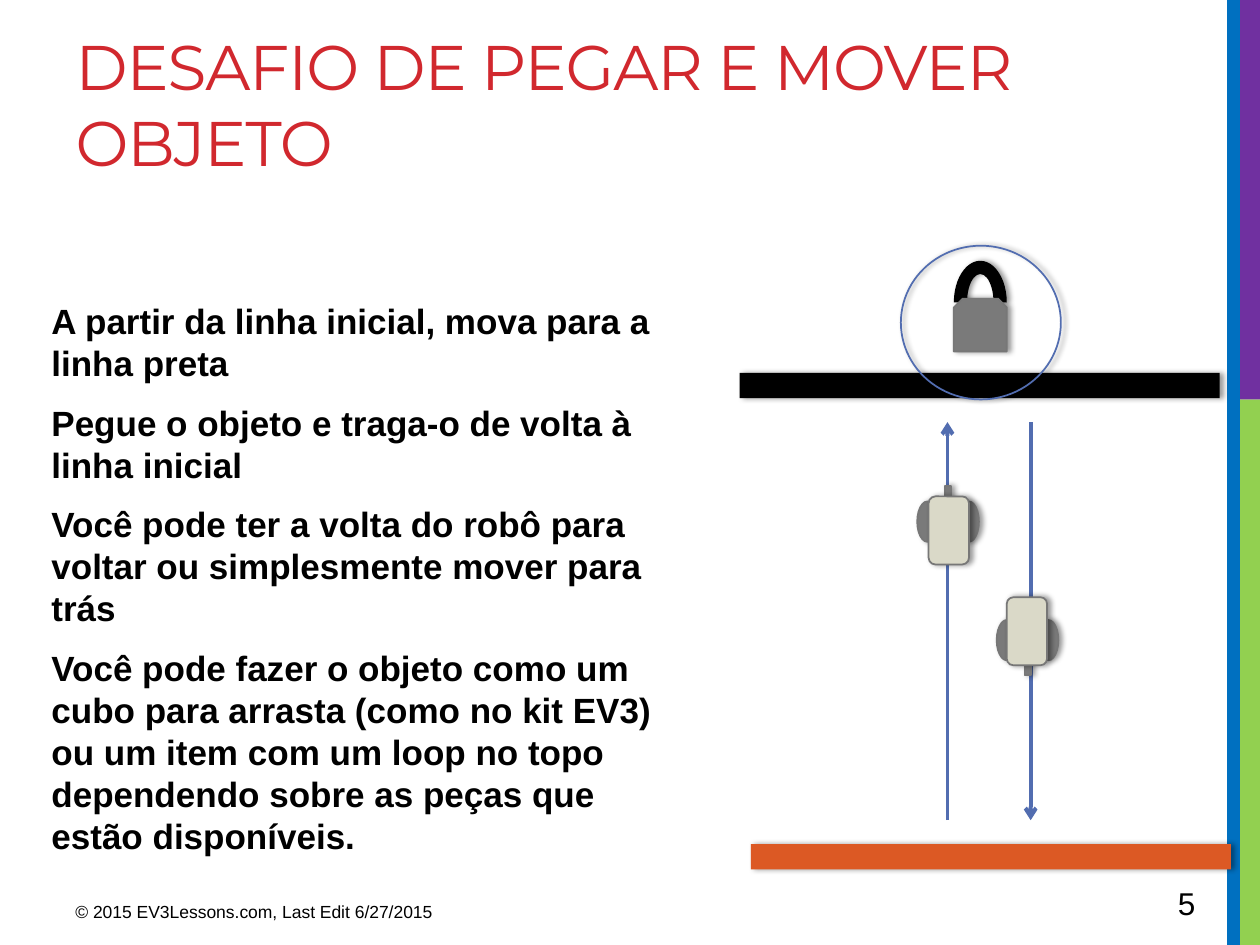
import pptx
import pptx.util
import pptx.dml.color
import pptx.enum.shapes
import pptx.enum.text
import pptx.oxml
import pptx.oxml.ns
import lxml.etree

Inches = pptx.util.Inches
Pt = pptx.util.Pt
SHAPE = pptx.enum.shapes.MSO_SHAPE
ANCHOR = pptx.enum.text.MSO_ANCHOR
qn = pptx.oxml.ns.qn

COLORS = {
    "green": "92D050", "purple": "7030A0", "blue": "0070C0",
    "red": "D1282E", "black": "000000", "orange": "DC5924",
    "gray": "7A7A7A", "edge": "777777", "arrow": "526DB0", "shell": "DAD9C8",
}

INSTRUCTIONS = [
    "A partir da linha inicial, mova para a linha preta",
    "Pegue o objeto e traga-o de volta à linha inicial",
    "Você pode ter a volta do robô para voltar ou simplesmente mover para trás",
    "Você pode fazer o objeto como um cubo para arrasta (como no kit EV3) ou um item "
    "com um loop no topo dependendo sobre as peças que estão disponíveis.",
]

ROBOT_WIDTH, ROBOT_HEIGHT = 0.49, 0.62
ROBOT_PARTS = [
    (SHAPE.OVAL, 0, 0.12, 0.16, 0.32, "gray"),
    (SHAPE.OVAL, 0.33, 0.12, 0.16, 0.32, "gray"),
    (SHAPE.RECTANGLE, 0.22, 0, 0.05, 0.14, "gray"),
    (SHAPE.ROUNDED_RECTANGLE, 0.09, 0.08, 0.32, 0.54, "shell"),
]


def color(name):
    return pptx.dml.color.RGBColor.from_string(COLORS[name])


def write(para, text, size=20, font="Arial", fill="black", bold=False, tracking=None):
    span = para.add_run()
    span.text = text
    span.font.size = Pt(size)
    span.font.name = font
    span.font.bold = bold
    span.font.color.rgb = color(fill)
    if tracking is not None:
        span.font._element.set("spc", str(tracking))


class SlideBuilder:
    def __init__(self, deck):
        self.page = deck.slides.add_slide(deck.slide_layouts[5])

    def title(self, text, left, top, width, height):
        box = self.page.shapes.title
        box.left, box.top = Inches(left), Inches(top)
        box.width, box.height = Inches(width), Inches(height)
        frame = box.text_frame
        frame.word_wrap = True
        frame.auto_size = pptx.enum.text.MSO_AUTO_SIZE.NONE
        frame.vertical_anchor = ANCHOR.TOP
        para = frame.paragraphs[0]
        para.alignment = pptx.enum.text.PP_ALIGN.LEFT
        write(para, text, size=36, font="Montserrat", fill="red", tracking=-60)

    def text(self, lines, left, top, width, height, anchor=ANCHOR.TOP, **style):
        box = self.page.shapes.add_textbox(
            Inches(left), Inches(top), Inches(width), Inches(height))
        frame = box.text_frame
        frame.word_wrap = True
        frame.vertical_anchor = anchor
        for index, line in enumerate(lines):
            para = frame.add_paragraph() if index else frame.paragraphs[0]
            if index:
                para.space_before = Pt(4)
            if index < len(lines) - 1:
                para.space_after = Pt(6)
            write(para, line, **style)

    def shape(self, kind, left, top, width, height, fill=None, line=None,
              shadow=True, parent=None):
        shapes = (parent or self.page).shapes
        item = shapes.add_shape(
            kind, Inches(left), Inches(top), Inches(width), Inches(height))
        if fill:
            item.fill.solid()
            item.fill.fore_color.rgb = color(fill)
        else:
            item.fill.background()
        if line:
            item.line.color.rgb = color(line)
            item.line.width = Pt(1)
        else:
            item.line.fill.background()
        item.shadow.inherit = False
        if shadow:
            self.cast_shadow(item)
        return item

    def cast_shadow(self, item):
        effects = item._element.spPr.find(qn("a:effectLst"))
        outer = lxml.etree.SubElement(
            effects, qn("a:outerShdw"), blurRad=str(Pt(3.1)), dist=str(Pt(1.8)),
            dir="0", algn="ctr", rotWithShape="0")
        tint = lxml.etree.SubElement(outer, qn("a:srgbClr"), val=COLORS["black"])
        lxml.etree.SubElement(tint, qn("a:alpha"), val="40000")

    def arrow(self, x, start, end):
        line = self.page.shapes.add_connector(
            pptx.enum.shapes.MSO_CONNECTOR.STRAIGHT,
            Inches(x), Inches(start), Inches(x), Inches(end))
        line.line.color.rgb = color("arrow")
        line.line.width = Pt(2.25)
        lxml.etree.SubElement(line.line._get_or_add_ln(), qn("a:tailEnd"), type="arrow")
        lxml.etree.SubElement(line._element.spPr, qn("a:effectLst"))

    def robot(self, left, top, facing_down=False):
        group = self.page.shapes.add_group_shape()
        for kind, x, y, width, height, fill in ROBOT_PARTS:
            if facing_down:
                x = ROBOT_WIDTH - x - width
                y = ROBOT_HEIGHT - y - height
            part = self.shape(kind, left + x, top + y, width, height,
                              fill, "edge", parent=group)
            part.rotation = 180 if facing_down else 0


def main():
    deck = pptx.Presentation()
    deck.slide_width, deck.slide_height = Inches(10), Inches(7.5)
    slide = SlideBuilder(deck)

    slide.shape(SHAPE.RECTANGLE, 9.84, 3.17, 0.16, 4.33, "green", shadow=False)
    slide.shape(SHAPE.RECTANGLE, 9.8, 0, 0.2, 3.17, "purple", shadow=False)
    slide.shape(SHAPE.RECTANGLE, 9.74, 0, 0.1, 7.5, "blue", shadow=False)

    slide.title("DESAFIO DE PEGAR E MOVER OBJETO", 0.5, 0.17, 9.02, 1.5)
    slide.text(INSTRUCTIONS, 0.31, 2.33, 5.17, 4.37, bold=True)
    slide.text(["© 2015 EV3Lessons.com, Last Edit 6/27/2015"],
               0.5, 7.1, 3.75, 0.31, size=10)
    slide.text(["5"], 9.25, 6.97, 0.69, 0.4, anchor=ANCHOR.MIDDLE, size=18)

    slide.shape(SHAPE.RECTANGLE, 5.87, 2.96, 3.81, 0.2, "black")
    slide.shape(SHAPE.RECTANGLE, 5.96, 6.7, 3.81, 0.2, "orange")
    slide.shape(SHAPE.BLOCK_ARC, 7.57, 2.07, 0.42, 0.66, "black")
    slide.shape(SHAPE.SNIP_2_SAME_RECTANGLE, 7.57, 2.37, 0.42, 0.42, "gray", "edge")

    slide.arrow(7.52, 6.51, 3.35)
    slide.arrow(8.18, 3.35, 6.51)
    slide.shape(SHAPE.OVAL, 7.15, 1.95, 1.27, 1.22, line="arrow")
    slide.robot(7.28, 3.86)
    slide.robot(7.91, 4.74, facing_down=True)

    deck.save("out.pptx")


if __name__ == "__main__":
    main()
